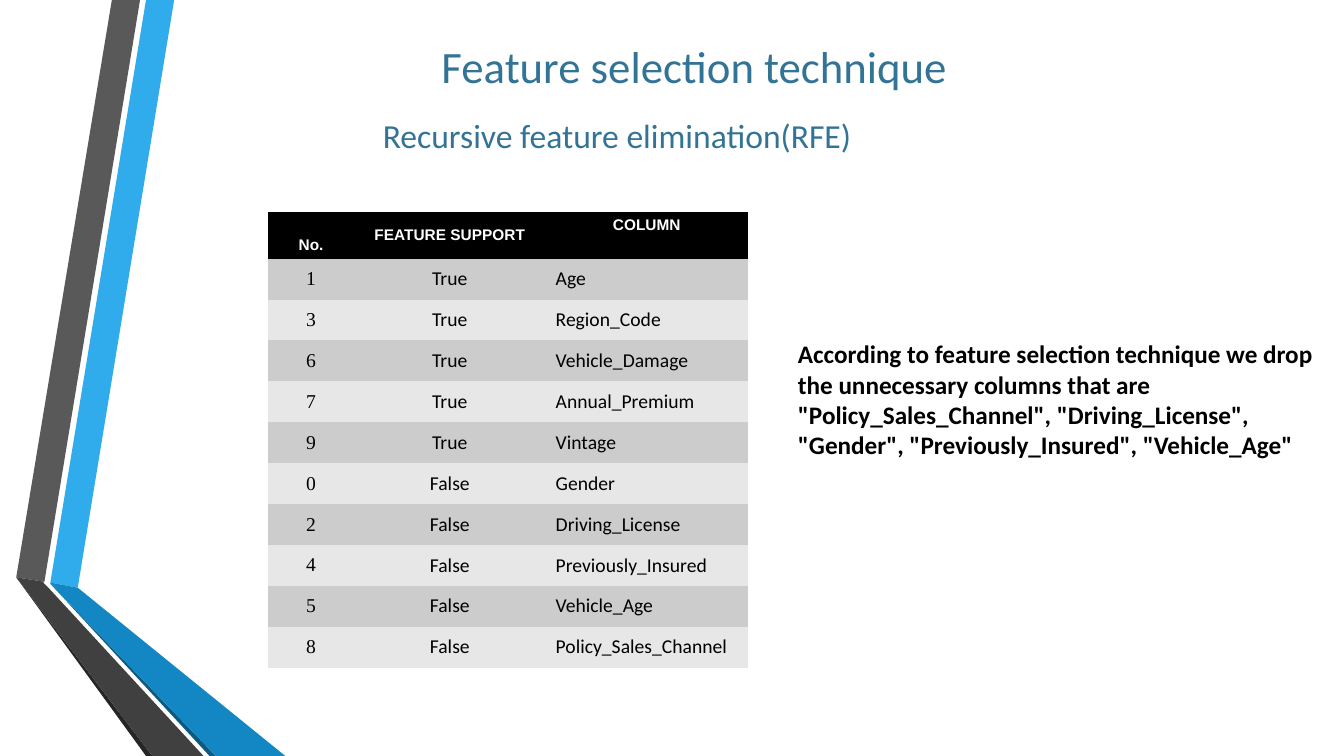
from dataclasses import dataclass

from lxml import etree
from pptx import Presentation
from pptx.dml.color import RGBColor
from pptx.enum.text import MSO_ANCHOR, PP_ALIGN
from pptx.oxml.ns import qn
from pptx.util import Cm, Pt

LEFT, CENTER = PP_ALIGN.LEFT, PP_ALIGN.CENTER
TOP, MIDDLE, BOTTOM = MSO_ANCHOR.TOP, MSO_ANCHOR.MIDDLE, MSO_ANCHOR.BOTTOM
TITLE_ONLY = 5
NO_TABLE_STYLE = "{2D5ABB26-0587-4C30-8999-92F81FD0307C}"


@dataclass(frozen=True)
class Theme:
    """Colours, fonts and type sizes of the slide."""
    heading: str = "0C5A82"
    heading_alpha: int = 83
    text: str = "000000"
    header_fill: str = "000000"
    header_text: str = "FFFFFF"
    bands: tuple = ("CCCCCC", "E7E7E7")
    body_font: str = "Calibri"
    header_font: str = "Arial"
    number_font: str = "Times New Roman"
    title_size: int = 32
    subtitle_size: int = 24
    conclusion_size: int = 18
    cell_size: int = 14
    header_size: int = 11


THEME = Theme()

RIBBONS = [
    ("30ACEC", [(1.27, 14.68), (1.96, 14.81), (4.39, 0), (3.68, 0)]),
    ("595959", [(3.53, 0), (2.82, 0), (0.41, 14.55), (1.12, 14.66)]),
    ("262626", [(0.41, 14.55), (3.68, 19.05), (3.84, 19.05)]),
    ("0C5A82", [(1.27, 14.71), (5.28, 19.05), (5.44, 19.05)]),
    ("1287C3", [(1.27, 14.71), (5.44, 19.05), (7.19, 19.05), (1.96, 14.81), (1.27, 14.68)]),
    ("404040", [(5.13, 19.05), (1.22, 14.81), (1.09, 14.68), (1.12, 14.66),
                (0.41, 14.55), (3.84, 19.05)]),
]

HEADERS = ["No.", "FEATURE SUPPORT", "COLUMN"]
HEADER_ANCHORS = [BOTTOM, MIDDLE, TOP]
FEATURES = [
    ("1", "True", "Age"),
    ("3", "True", "Region_Code"),
    ("6", "True", "Vehicle_Damage"),
    ("7", "True", "Annual_Premium"),
    ("9", "True", "Vintage"),
    ("0", "False", "Gender"),
    ("2", "False", "Driving_License"),
    ("4", "False", "Previously_Insured"),
    ("5", "False", "Vehicle_Age"),
    ("8", "False", "Policy_Sales_Channel"),
]
COLUMN_WIDTHS = [2.16, 4.83, 5.1]
HEADER_HEIGHT, ROW_HEIGHT = 1.19, 1.03

CONCLUSION = (
    "According to feature selection technique we drop the unnecessary columns that are "
    '"Policy_Sales_Channel", "Driving_License", "Gender", "Previously_Insured", "Vehicle_Age"'
)


def write(frame, text, size, color, font=THEME.body_font, bold=False, align=LEFT, alpha=None):
    """Put one formatted paragraph into a text frame."""
    frame.text = text
    paragraph = frame.paragraphs[0]
    paragraph.alignment = align
    style = paragraph.runs[0].font
    style.name, style.size, style.bold = font, Pt(size), bold
    style.color.rgb = RGBColor.from_string(color)
    if alpha is not None:
        tint = paragraph.runs[0].font.fill._xPr.find(".//" + qn("a:srgbClr"))
        etree.SubElement(tint, qn("a:alpha")).set("val", str(alpha * 1000))


def add_ribbon(slide, color, corners):
    """Draw one flat polygon of the folded ribbons."""
    points = [(Cm(x), Cm(y)) for x, y in corners]
    builder = slide.shapes.build_freeform(*points[0])
    builder.add_line_segments(points[1:], close=True)
    ribbon = builder.convert_to_shape()
    ribbon.shadow.inherit = False
    ribbon.fill.solid()
    ribbon.fill.fore_color.rgb = RGBColor.from_string(color)
    ribbon.line.fill.background()


def set_title(slide, text):
    """Place and format the title placeholder."""
    title = slide.shapes.title
    title.left, title.top, title.width, title.height = Cm(5.84), Cm(0), Cm(23.32), Cm(3.33)
    write(title.text_frame, text, THEME.title_size, THEME.heading,
          align=CENTER, alpha=THEME.heading_alpha)
    title.text_frame.vertical_anchor = MIDDLE


def add_text(slide, box, text, size, color, **style):
    """Add a wrapping text box."""
    frame = slide.shapes.add_textbox(*map(Cm, box)).text_frame
    frame.word_wrap = True
    write(frame, text, size, color, **style)


def fill_cell(cell, text, fill, anchor, **style):
    """Write and colour one table cell."""
    write(cell.text_frame, text, **style)
    cell.vertical_anchor = anchor
    cell.fill.solid()
    cell.fill.fore_color.rgb = RGBColor.from_string(fill)


def add_feature_table(slide, left, top):
    """Add the table of features and their support."""
    height = HEADER_HEIGHT + ROW_HEIGHT * len(FEATURES)
    holder = slide.shapes.add_table(len(FEATURES) + 1, len(HEADERS), Cm(left), Cm(top),
                                    Cm(sum(COLUMN_WIDTHS)), Cm(height))
    holder.element.find(".//" + qn("a:tableStyleId")).text = NO_TABLE_STYLE
    table = holder.table
    table.horz_banding = False
    for column, width in zip(table.columns, COLUMN_WIDTHS):
        column.width = Cm(width)
    for index, row in enumerate(table.rows):
        row.height = Cm(ROW_HEIGHT if index else HEADER_HEIGHT)

    for column, (header, anchor) in enumerate(zip(HEADERS, HEADER_ANCHORS)):
        fill_cell(table.cell(0, column), header, THEME.header_fill, anchor,
                  size=THEME.header_size, color=THEME.header_text,
                  font=THEME.header_font, bold=True, align=CENTER)

    fonts = [THEME.number_font, THEME.body_font, THEME.body_font]
    alignments = [CENTER, CENTER, LEFT]
    for index, feature in enumerate(FEATURES):
        band = THEME.bands[index % 2]
        for column, value in enumerate(feature):
            fill_cell(table.cell(index + 1, column), value, band, MIDDLE,
                      size=THEME.cell_size, color=THEME.text,
                      font=fonts[column], align=alignments[column])


def main():
    """Build the feature selection slide."""
    deck = Presentation()
    deck.slide_width, deck.slide_height = Cm(33.87), Cm(19.05)
    slide = deck.slides.add_slide(deck.slide_layouts[TITLE_ONLY])
    for color, corners in RIBBONS:
        add_ribbon(slide, color, corners)
    set_title(slide, "Feature selection technique")
    add_text(slide, (9.4, 2.77, 18.9, 1.27), "Recursive feature elimination(RFE)",
             THEME.subtitle_size, THEME.heading, alpha=THEME.heading_alpha)
    add_feature_table(slide, 6.76, 5.33)
    add_text(slide, (19.86, 8.41, 13.49, 4.11), CONCLUSION,
             THEME.conclusion_size, THEME.text, bold=True)
    deck.save("out.pptx")


if __name__ == "__main__":
    main()
